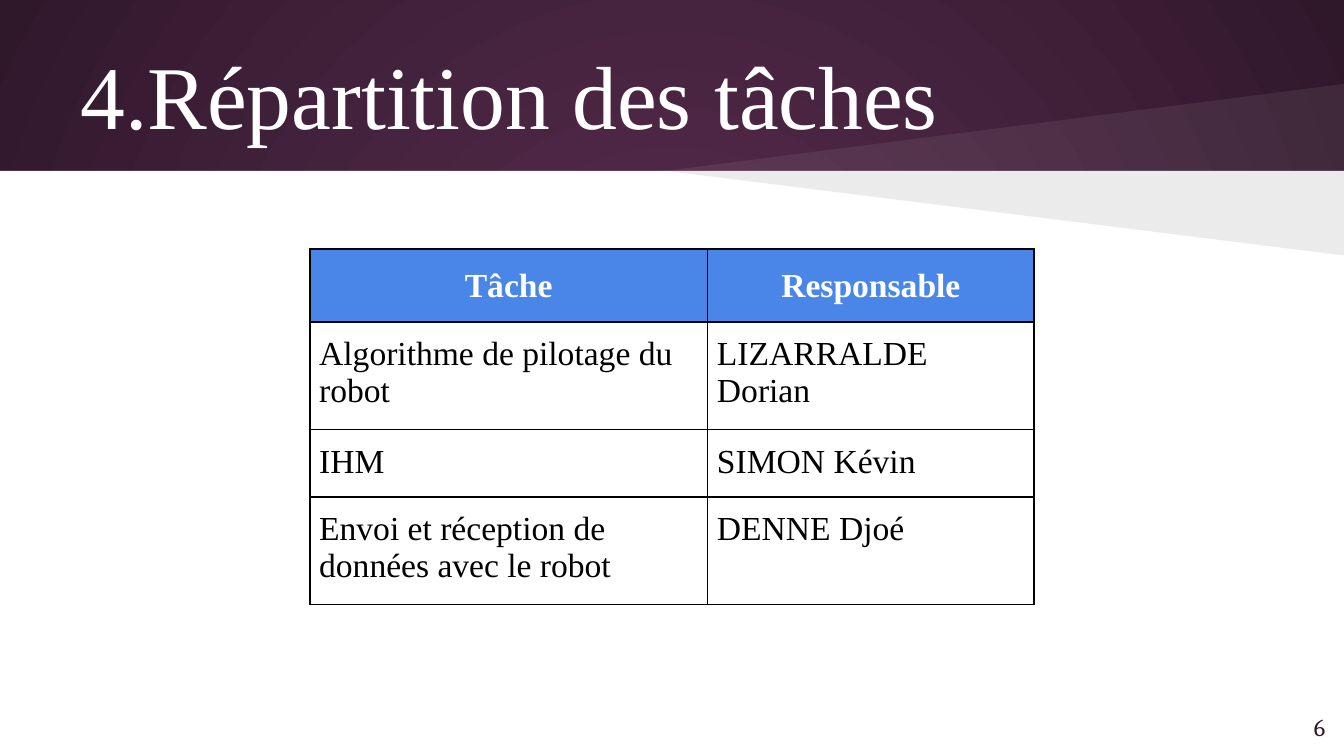
from lxml.etree import SubElement
from pptx import Presentation
from pptx.dml.color import RGBColor
from pptx.enum.shapes import MSO_SHAPE
from pptx.enum.text import MSO_ANCHOR, PP_ALIGN
from pptx.oxml.ns import qn
from pptx.util import Inches, Pt

WIDTH = Inches(10)
HEIGHT = WIDTH * 9 // 16
HEADER_BOTTOM = 22.6
COLORS = {
    "plum": "592D50",
    "dark": "30182B",
    "white": "FFFFFF",
    "black": "000000",
    "blue": "4A86E8",
}
TASKS = [
    ("Tâche", "Responsable"),
    ("Algorithme de pilotage du robot", "LIZARRALDE Dorian"),
    ("IHM", "SIMON Kévin"),
    ("Envoi et réception de données avec le robot", "DENNE Djoé"),
]
COLUMN_SHARES = [29.6, 24.3]
ROW_SHARES = [0, 7, 7, 7]


def across(percent):
    return int(WIDTH * percent / 100)


def down(percent):
    return int(HEIGHT * percent / 100)


def area(left, top, width, height):
    return across(left), down(top), across(width), down(height)


def rgb(color):
    return RGBColor.from_string(COLORS[color])


def apply_format(target, values):
    for name, value in values.items():
        setattr(target, name, value)


def add_xml(parent, tag, **attributes):
    return SubElement(parent, qn(tag), attributes)


def paint_background(slide):
    fill = slide.background.fill
    fill.gradient()
    for stop, color, position in zip(fill.gradient_stops, ("plum", "dark"), (0, 1)):
        stop.color.rgb = rgb(color)
        stop.position = position
    gradient = slide.element.find(".//" + qn("a:gradFill"))
    gradient.remove(gradient.find(qn("a:lin")))
    circle = add_xml(gradient, "a:path", path="circle")
    add_xml(circle, "a:fillToRect", **dict.fromkeys("ltrb", "50000"))


def paint_shape(shape, color, opacity=100):
    shape.shadow.inherit = False
    shape.fill.solid()
    shape.fill.fore_color.rgb = rgb(color)
    shape.line.fill.background()
    if opacity < 100:
        tone = shape.element.spPr.find(qn("a:solidFill"))[0]
        add_xml(tone, "a:alpha", val=str(opacity * 1000))


def add_wedge(slide, edge, color, opacity):
    outline = slide.shapes.build_freeform(across(49.5), down(HEADER_BOTTOM))
    outline.add_line_segments(
        [(across(100), down(edge)), (across(100), down(HEADER_BOTTOM))]
    )
    paint_shape(outline.convert_to_shape(), color, opacity)


def write(paragraph, text, size, color, font="Times New Roman", bold=False):
    run = paragraph.add_run()
    run.text = text
    apply_format(run.font, {"name": font, "size": Pt(size), "bold": bold})
    run.font.color.rgb = rgb(color)


def add_text(slide, place, text, size, color, **style):
    frame = slide.shapes.add_textbox(*area(*place)).text_frame
    margins = ("margin_left", "margin_top", "margin_right", "margin_bottom")
    apply_format(frame, dict.fromkeys(margins, Inches(0.1)))
    apply_format(frame, {"word_wrap": True, "vertical_anchor": MSO_ANCHOR.MIDDLE})
    write(frame.paragraphs[0], text, size, color, **style)
    return frame.paragraphs[0]


def number_paragraph(paragraph, start, color):
    properties = paragraph._p.get_or_add_pPr()
    properties.set("marL", str(Inches(0.5)))
    properties.set("indent", str(Inches(-0.58)))
    tone = add_xml(properties, "a:buClr")
    add_xml(tone, "a:srgbClr", val=COLORS[color])
    add_xml(properties, "a:buFont", typeface="Times New Roman")
    add_xml(properties, "a:buAutoNum", type="arabicPeriod", startAt=str(start))


def add_borders(cell, color):
    properties = cell._tc.get_or_add_tcPr()
    for side in "LRTB":
        line = add_xml(properties, f"a:ln{side}", w=str(Pt(1)))
        add_xml(add_xml(line, "a:solidFill"), "a:srgbClr", val=COLORS[color])


def fill_cell(cell, text, is_header):
    add_borders(cell, "black")
    apply_format(cell, {
        "margin_left": Inches(0.07),
        "margin_right": Inches(0.07),
        "margin_top": Inches(0.1),
        "margin_bottom": Inches(0.1),
    })
    paragraph = cell.text_frame.paragraphs[0]
    write(paragraph, text, 18, "white" if is_header else "black", bold=is_header)
    if is_header:
        cell.fill.solid()
        cell.fill.fore_color.rgb = rgb("blue")
        apply_format(paragraph, {"alignment": PP_ALIGN.CENTER, "line_spacing": 1.15})
    else:
        cell.fill.background()


def add_task_table(slide):
    width = sum(COLUMN_SHARES)
    place = area((100 - width) / 2, 32.9, width, sum(ROW_SHARES))
    table = slide.shapes.add_table(len(TASKS), len(COLUMN_SHARES), *place).table
    apply_format(table, {"first_row": False, "horz_banding": False})
    for column, share in zip(table.columns, COLUMN_SHARES):
        column.width = across(share)
    for index, (row, share, texts) in enumerate(zip(table.rows, ROW_SHARES, TASKS)):
        row.height = down(share)
        for cell, text in zip(row.cells, texts):
            fill_cell(cell, text, index == 0)


def main():
    deck = Presentation()
    apply_format(deck, {"slide_width": WIDTH, "slide_height": HEIGHT})
    slide = deck.slides.add_slide(deck.slide_layouts[6])
    paint_background(slide)
    body = area(0, HEADER_BOTTOM, 100, 100 - HEADER_BOTTOM)
    paint_shape(slide.shapes.add_shape(MSO_SHAPE.RECTANGLE, *body), "white")
    add_wedge(slide, 11.1, "white", 7)
    add_wedge(slide, 33.8, "black", 8)
    title = add_text(slide, (5, 4.1, 90, 16.7), "Répartition des tâches", 48, "white")
    number_paragraph(title, 4, "white")
    add_task_table(slide)
    page = add_text(slide, (93.6, 92.3, 6, 7.6), "6", 13, "dark", font="Cambria")
    page.alignment = PP_ALIGN.RIGHT
    deck.save("out.pptx")


if __name__ == "__main__":
    main()
